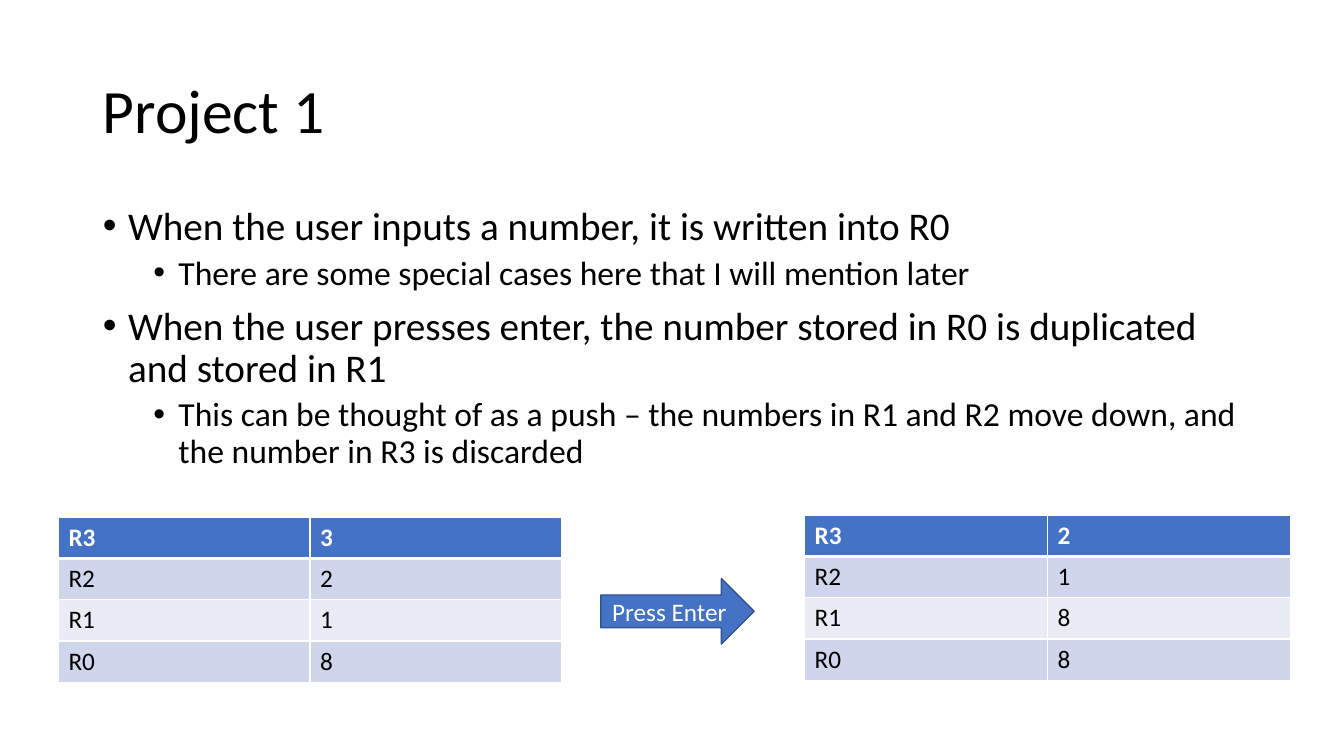
from lxml.etree import SubElement
from pptx import Presentation
from pptx.dml.color import RGBColor
from pptx.enum.shapes import MSO_SHAPE
from pptx.enum.text import MSO_ANCHOR, MSO_AUTO_SIZE, PP_ALIGN
from pptx.oxml.ns import qn
from pptx.util import Inches, Pt

# Content
TITLE = "Project 1"
POINTS = [
    (0, "When the user inputs a number, it is written into R0"),
    (1, "There are some special cases here that I will mention later"),
    (0, "When the user presses enter, the number stored in R0 is duplicated and stored in R1"),
    (1, "This can be thought of as a push – the numbers in R1 and R2 move down, "
        "and the number in R3 is discarded"),
]
NAMES = ["R3", "R2", "R1", "R0"]
STACKS = [  # left, top, width, values
    (0.58, 5.13, 4.99, ["3", "2", "1", "8"]),
    (7.98, 5.11, 4.82, ["2", "1", "8", "8"]),
]
LABEL = "Press Enter"

# Style: size, space before and left margin of each list level
LEVELS = [(28, 10, 0.25), (24, 5, 0.75)]
HANG = 0.25
ROW = 0.41
BLUE, EDGE, BLACK, WHITE = "4472C4", "325491", "000000", "FFFFFF"
BANDS = ["E9EBF5", "CFD5EA"]


def color(code):
    return RGBColor.from_string(code)


def style(para, size, code, bold=False):
    font = para.font
    font.name, font.size, font.bold = "Calibri", Pt(size), bold
    font.color.rgb = color(code)


def place(shape, left, top, width, height):
    shape.left, shape.top = Inches(left), Inches(top)
    shape.width, shape.height = Inches(width), Inches(height)


def bullet(para, margin):
    props = para._p.get_or_add_pPr()
    props.set("marL", str(Inches(margin)))
    props.set("indent", str(-Inches(HANG)))
    SubElement(props, qn("a:buFont"), typeface="Arial")
    SubElement(props, qn("a:buChar"), char="•")


def border(cell, row):
    props = cell._tc.get_or_add_tcPr()
    thick = {0: "B", 1: "T"}.get(row)  # heavy rule under the header
    for side in "LRTB":
        width = Pt(3 if side == thick else 1)
        line = SubElement(props, qn("a:ln" + side), w=str(width))
        fill = SubElement(line, qn("a:solidFill"))
        SubElement(fill, qn("a:srgbClr"), val=WHITE)


def stack(slide, left, top, width, values):
    rows = list(zip(NAMES, values))
    table = slide.shapes.add_table(
        len(rows), 2, Inches(left), Inches(top),
        Inches(width), Inches(ROW * len(rows))).table
    for r, texts in enumerate(rows):
        head = r == 0
        for c, text in enumerate(texts):
            cell = table.cell(r, c)
            cell.text = text
            style(cell.text_frame.paragraphs[0], 18, WHITE if head else BLACK, head)
            border(cell, r)
            cell.fill.solid()
            cell.fill.fore_color.rgb = color(BLUE if head else BANDS[r % 2])


def main():
    deck = Presentation()
    deck.slide_width, deck.slide_height = Inches(13.33), Inches(7.5)
    slide = deck.slides.add_slide(deck.slide_layouts[1])

    # Title
    title = slide.shapes.title
    place(title, 0.92, 0.4, 11.5, 1.45)
    title.text_frame.text = TITLE
    title.text_frame.vertical_anchor = MSO_ANCHOR.MIDDLE
    para = title.text_frame.paragraphs[0]
    para.alignment, para.line_spacing = PP_ALIGN.LEFT, 0.9
    style(para, 44, BLACK)

    # Bullet list
    body = slide.placeholders[1]
    place(body, 0.92, 2, 11.5, 4.76)
    frame = body.text_frame
    frame.auto_size = MSO_AUTO_SIZE.NONE
    frame.text = "\n".join(text for _, text in POINTS)
    for para, (level, _) in zip(frame.paragraphs, POINTS):
        size, before, margin = LEVELS[level]
        para.level = level
        bullet(para, margin)
        para.line_spacing, para.space_before = 0.9, Pt(before)
        style(para, size, BLACK)

    # Register tables
    for item in STACKS:
        stack(slide, *item)

    # Arrow between the tables
    arrow = slide.shapes.add_shape(
        MSO_SHAPE.RIGHT_ARROW, Inches(5.96), Inches(5.74), Inches(1.52), Inches(0.65))
    arrow.shadow.inherit = False
    arrow.fill.solid()
    arrow.fill.fore_color.rgb = color(BLUE)
    arrow.line.color.rgb = color(EDGE)
    arrow.line.width = Pt(1)
    arrow.text_frame.text = LABEL
    arrow.text_frame.vertical_anchor = MSO_ANCHOR.MIDDLE
    para = arrow.text_frame.paragraphs[0]
    para.alignment = PP_ALIGN.CENTER
    style(para, 18, WHITE)

    deck.save("out.pptx")


if __name__ == "__main__":
    main()
